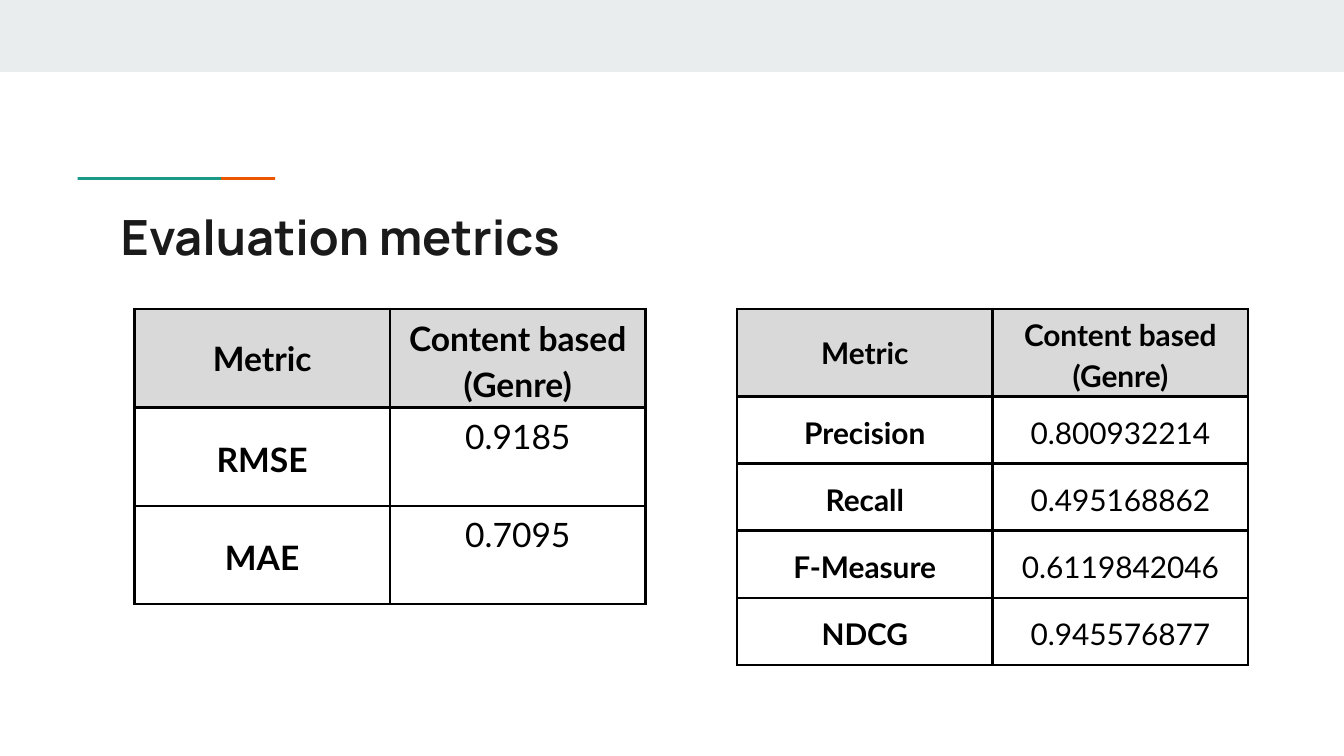
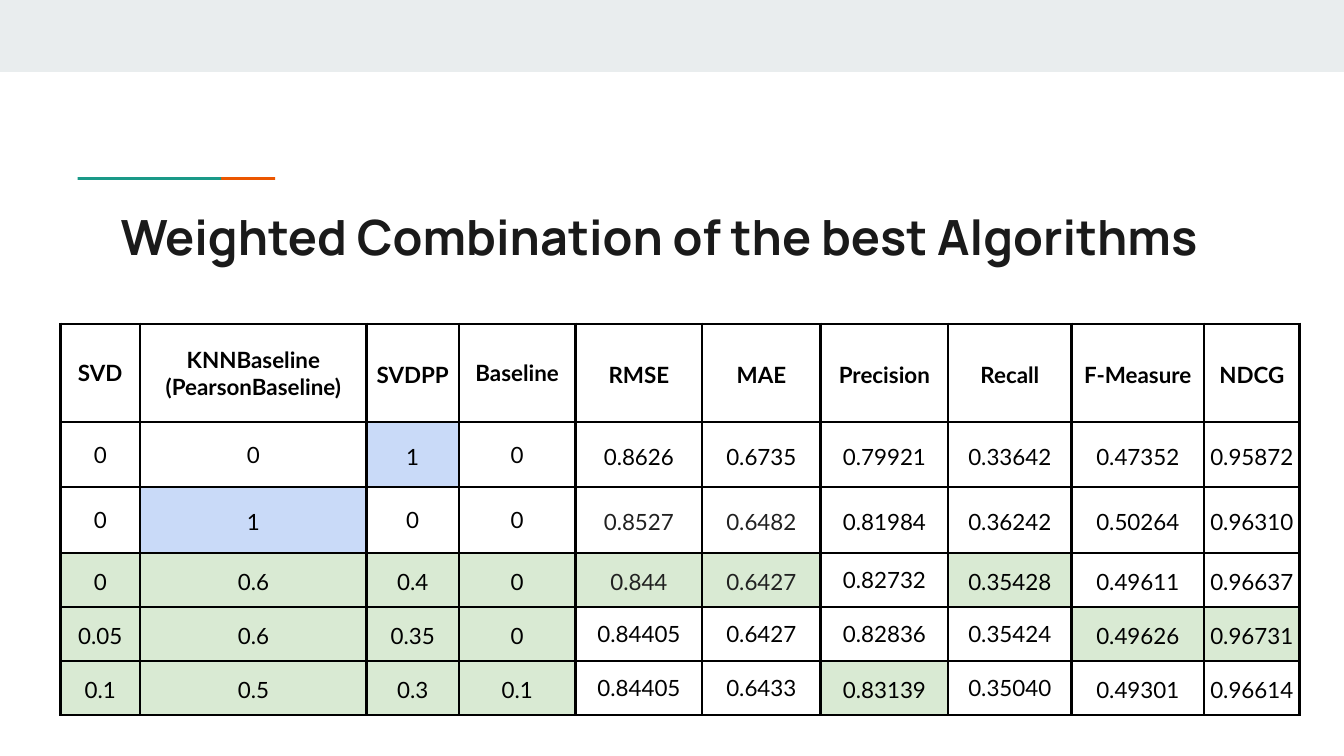
from lxml.etree import SubElement
from pptx import Presentation
from pptx.dml.color import RGBColor
from pptx.enum.shapes import MSO_SHAPE
from pptx.enum.text import MSO_ANCHOR, MSO_AUTO_SIZE, PP_ALIGN
from pptx.oxml.ns import qn
from pptx.util import Cm, Pt

BODY, HEAD = "Lato", "Manrope"
BLACK, INK, GRAY = "000000", "1A1A1A", "212121"
FILLS = {"D": "D9D9D9", "B": "C9DAF8", "G": "D9EAD3"}

# Left, top, width, height in cm, and colour; green overlaps orange
BANDS = [
    (0, 0, 25.4, 1.36, "E9EDEE"),
    (2.49, 3.35, 2.71, 0.05, "EB5600"),
    (1.47, 3.35, 2.71, 0.05, "1A9988"),
]

# One letter per cell: "shade" picks a fill, "tight" (x) single line spacing,
# "soft" (x) the gray text colour, "high" (x) text at the top of the cell.
ERRORS = {
    "at": (2.54, 5.84), "size": 18,
    "cols": [4.83] * 2, "rows": [1.86] * 3,
    "text": [
        ["Metric", "Content based (Genre)"],
        ["RMSE", "0.9185"],
        ["MAE", "0.7095"],
    ],
    "shade": ["DD"], "tight": ["x."], "high": ["..", ".x", ".x"], "bold_col": True,
}
RANKING = {
    "at": (13.93, 5.84), "size": 16,
    "cols": [4.83] * 2, "rows": [1.65] + [1.27] * 4,
    "text": [
        ["Metric", "Content based (Genre)"],
        ["Precision", "0.800932214"],
        ["Recall", "0.495168862"],
        ["F-Measure", "0.6119842046"],
        ["NDCG", "0.945576877"],
    ],
    "shade": ["DD"], "tight": ["x."], "bold_col": True,
}
WEIGHTS = {
    "at": (1.14, 6.12), "size": 12,
    "cols": [1.51, 4.28, 1.74, 2.21, 2.39, 2.24, 2.41, 2.33, 2.51, 1.8],
    "rows": [1.86, 1.23, 1.24, 1.02, 1.02, 1.03],
    "text": [
        ["SVD", "KNNBaseline\n(PearsonBaseline)", "SVDPP", "Baseline", "RMSE",
         "MAE", "Precision", "Recall", "F-Measure", "NDCG"],
        ["0", "0", "1", "0", "0.8626", "0.6735", "0.79921", "0.33642", "0.47352", "0.95872"],
        ["0", "1", "0", "0", "0.8527", "0.6482", "0.81984", "0.36242", "0.50264", "0.96310"],
        ["0", "0.6", "0.4", "0", "0.844", "0.6427", "0.82732", "0.35428", "0.49611", "0.96637"],
        ["0.05", "0.6", "0.35", "0", "0.84405", "0.6427", "0.82836", "0.35424", "0.49626", "0.96731"],
        ["0.1", "0.5", "0.3", "0.1", "0.84405", "0.6433", "0.83139", "0.35040", "0.49301", "0.96614"],
    ],
    "shade": ["", "..B", ".B", "GGGGGG.G", "GGGG....GG", "GGGG..G"],
    "tight": ["xx.x", "xx.x", "x.xx", "......x", "....xxxx", "....xx.x"],
    "soft": ["", "", "....xx", "....xx"],
}
SLIDES = [
    ("Evaluation metrics", [RANKING, ERRORS]),
    ("Weighted Combination of the best Algorithms", [WEIGHTS]),
]


def rgb(code):
    return RGBColor.from_string(code)


def mark(grid, row, col):
    """Return the letter for a cell, or a dot where the grid is short."""
    line = grid[row] if row < len(grid) else ""
    return line[col] if col < len(line) else "."


def style(par, font, size, color, bold):
    par.font.name, par.font.size, par.font.bold = font, Pt(size), bold
    par.font.color.rgb = rgb(color)


def border(cell):
    props = cell._tc.get_or_add_tcPr()
    for side in ("lnL", "lnR", "lnT", "lnB"):
        line = SubElement(props, qn(f"a:{side}"), w=str(Pt(1.5)))
        fill = SubElement(line, qn("a:solidFill"))
        SubElement(fill, qn("a:srgbClr"), val=BLACK)


def fill_cell(cell, data, row, col):
    def has(key):
        return mark(data.get(key, []), row, col) == "x"

    cell.margin_left = cell.margin_right = Cm(0.08)
    cell.margin_top = cell.margin_bottom = Cm(0.05)
    cell.vertical_anchor = MSO_ANCHOR.TOP if has("high") else MSO_ANCHOR.MIDDLE
    border(cell)
    shade = mark(data["shade"], row, col)
    if shade in FILLS:
        cell.fill.solid()
        cell.fill.fore_color.rgb = rgb(FILLS[shade])
    else:
        cell.fill.background()
    cell.text_frame.text = data["text"][row][col]
    bold = row == 0 or (col == 0 and data.get("bold_col", False))
    for par in cell.text_frame.paragraphs:
        par.alignment = PP_ALIGN.CENTER
        par.line_spacing = 1.0 if has("tight") else 1.15
        style(par, BODY, data["size"], GRAY if has("soft") else BLACK, bold)


def add_grid(slide, data):
    cols, rows = data["cols"], data["rows"]
    box = [Cm(n) for n in (*data["at"], sum(cols), sum(rows))]
    table = slide.shapes.add_table(len(rows), len(cols), *box).table
    table.first_row = table.horz_banding = False
    for col, width in enumerate(cols):
        table.columns[col].width = Cm(width)
    for row, height in enumerate(rows):
        table.rows[row].height = Cm(height)
        for col in range(len(cols)):
            fill_cell(table.cell(row, col), data, row, col)


def add_bands(slide):
    for *box, color in BANDS:
        band = slide.shapes.add_shape(MSO_SHAPE.RECTANGLE, *map(Cm, box))
        band.shadow.inherit = False
        band.fill.solid()
        band.fill.fore_color.rgb = rgb(color)
        band.line.fill.background()


def set_title(slide, text):
    title = slide.shapes.title
    title.left, title.top, title.width, title.height = map(Cm, (2.03, 3.66, 21.36, 1.5))
    frame = title.text_frame
    frame.text = text
    frame.word_wrap, frame.auto_size = True, MSO_AUTO_SIZE.NONE
    frame.vertical_anchor = MSO_ANCHOR.TOP
    frame.margin_left = frame.margin_right = Cm(0.25)
    frame.margin_top = frame.margin_bottom = Cm(0.25)
    par = frame.paragraphs[0]
    par.alignment = PP_ALIGN.LEFT
    style(par, HEAD, 26, INK, True)


def main():
    deck = Presentation()
    deck.slide_width, deck.slide_height = Cm(25.4), Cm(14.29)
    for title, grids in SLIDES:
        slide = deck.slides.add_slide(deck.slide_layouts[5])
        add_bands(slide)
        set_title(slide, title)
        for data in grids:
            add_grid(slide, data)
    deck.save("out.pptx")


if __name__ == "__main__":
    main()
